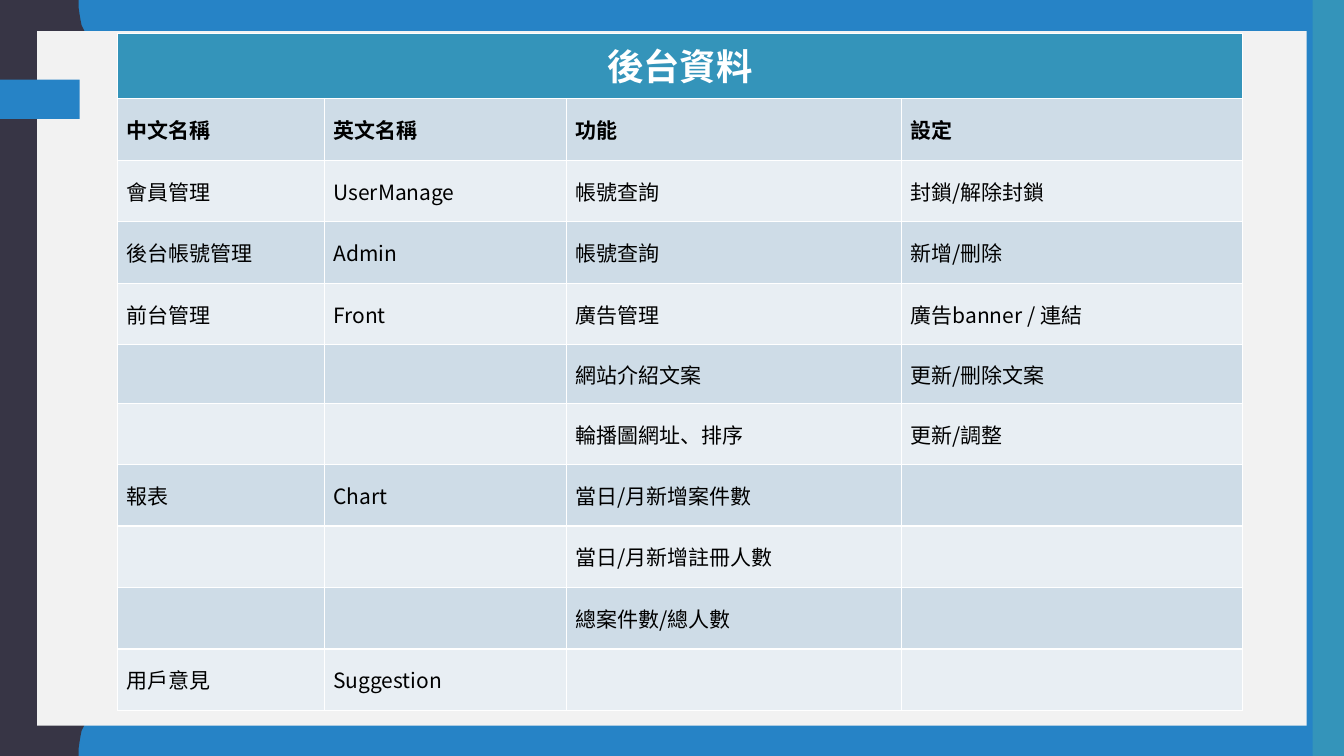
from lxml import etree
from pptx import Presentation
from pptx import util as u
from pptx.dml.color import RGBColor
from pptx.enum import shapes, text
from pptx.oxml import ns

BLUE = RGBColor(0x26, 0x83, 0xC6)
TEAL = RGBColor(0x34, 0x94, 0xBA)
DARK = RGBColor(0x37, 0x35, 0x45)
PANEL = RGBColor(0xF2, 0xF2, 0xF2)
BAND_DARK = RGBColor(0xCE, 0xDC, 0xE7)
BAND_LIGHT = RGBColor(0xE8, 0xEE, 0xF3)
WHITE = RGBColor(0xFF, 0xFF, 0xFF)
BLACK = RGBColor(0, 0, 0)

WIDTH, HEIGHT = 13.34, 7.5
TITLE = "後台資料"
COLUMN_WIDTHS = [2.05, 2.4, 3.33, 3.38]
ROW_HEIGHTS = [0.65] + [0.61] * 4 + [0.58] + [0.61] * 5
BACKEND_ROWS = [
    ["中文名稱", "英文名稱", "功能", "設定"],
    ["會員管理", "UserManage", "帳號查詢", "封鎖/解除封鎖"],
    ["後台帳號管理", "Admin", "帳號查詢", "新增/刪除"],
    ["前台管理", "Front", "廣告管理", "廣告banner / 連結"],
    ["", "", "網站介紹文案", "更新/刪除文案"],
    ["", "", "輪播圖網址、排序", "更新/調整"],
    ["報表", "Chart", "當日/月新增案件數", ""],
    ["", "", "當日/月新增註冊人數", ""],
    ["", "", "總案件數/總人數", ""],
    ["用戶意見", "Suggestion", "", ""],
]

# Half a wave of the left edge as (x, y); the other half mirrors it
HALF_WAVE = [(0.78, 0), (0.78, 0.07), (0.79, 0.14), (0.8, 0.2), (0.81, 0.25),
             (0.83, 0.29), (0.85, 0.33), (0.87, 0.38), (0.89, 0.42), (0.91, 0.46),
             (0.93, 0.5), (0.95, 0.55), (0.96, 0.61), (0.97, 0.68), (0.97, 0.75)]
WAVE_PERIOD = 1.5
WAVE_COUNT = 5


class SlideBuilder:
    font = "Noto Sans CJK SC"

    def __init__(self, slide):
        self.slide = slide

    def background(self, color):
        self.slide.background.fill.solid()
        self.slide.background.fill.fore_color.rgb = color

    def paint(self, shape, color):
        shape.shadow.inherit = False
        shape.fill.solid()
        shape.fill.fore_color.rgb = color
        shape.line.fill.background()

    def rectangle(self, left, top, width, height, color):
        box = self.slide.shapes.add_shape(
            shapes.MSO_SHAPE.RECTANGLE, u.Inches(left), u.Inches(top),
            u.Inches(width), u.Inches(height))
        self.paint(box, color)

    def outline(self, points, color):
        corners = [(u.Inches(x), u.Inches(y)) for x, y in points]
        builder = self.slide.shapes.build_freeform(*corners[0])
        builder.add_line_segments(corners[1:], close=True)
        self.paint(builder.convert_to_shape(), color)

    def table(self, left, top, widths, heights):
        grid = self.slide.shapes.add_table(
            len(heights), len(widths), u.Inches(left), u.Inches(top),
            u.Inches(sum(widths)), u.Inches(sum(heights))).table
        grid.first_row = grid.horz_banding = False
        for column, width in zip(grid.columns, widths):
            column.width = u.Inches(width)
        for row, height in zip(grid.rows, heights):
            row.height = u.Inches(height)
        return grid

    def cell(self, cell, wording, fill, size=15, color=BLACK, bold=False,
             align=text.PP_ALIGN.LEFT, anchor=text.MSO_ANCHOR.MIDDLE):
        cell.fill.solid()
        cell.fill.fore_color.rgb = fill
        cell.margin_left = cell.margin_right = u.Inches(0.09)
        cell.margin_top = cell.margin_bottom = u.Inches(0.05)
        cell.vertical_anchor = anchor
        self.borders(cell)
        if wording:
            paragraph = cell.text_frame.paragraphs[0]
            paragraph.alignment = align
            run = paragraph.add_run()
            run.text = wording
            run.font.name = self.font
            run.font.size = u.Pt(size)
            run.font.bold = bold
            run.font.color.rgb = color
            # East Asian typeface
            east_asian = etree.SubElement(run.font._element, ns.qn("a:ea"))
            east_asian.set("typeface", self.font)

    def borders(self, cell):
        properties = cell._tc.get_or_add_tcPr()
        for index, side in enumerate(["lnL", "lnR", "lnT", "lnB"]):
            border = etree.Element(ns.qn("a:" + side), w=str(u.Pt(1)))
            solid = etree.SubElement(border, ns.qn("a:solidFill"))
            etree.SubElement(solid, ns.qn("a:srgbClr"), val=str(WHITE))
            properties.insert(index, border)


def wavy_edge():
    falling = [(x, WAVE_PERIOD - y) for x, y in reversed(HALF_WAVE[:-1])]
    wave = HALF_WAVE + falling[:-1]
    edge = [(x, y + n * WAVE_PERIOD) for n in range(WAVE_COUNT) for x, y in wave]
    return [(0, 0)] + edge + [(HALF_WAVE[0][0], HEIGHT), (0, HEIGHT)]


def main():
    deck = Presentation()
    deck.slide_width, deck.slide_height = u.Inches(WIDTH), u.Inches(HEIGHT)
    page = SlideBuilder(deck.slides.add_slide(deck.slide_layouts[6]))

    # Backdrop: wavy left band, right band, panel and tab
    page.background(BLUE)
    page.outline(wavy_edge(), DARK)
    page.rectangle(13.03, 0, 0.31, HEIGHT, TEAL)
    page.rectangle(0.37, 0.31, 12.6, 6.89, PANEL)
    page.rectangle(0, 0.79, 0.79, 0.39, BLUE)

    # Title row across the whole table
    backend = page.table(1.17, 0.33, COLUMN_WIDTHS, ROW_HEIGHTS)
    backend.cell(0, 0).merge(backend.cell(0, len(COLUMN_WIDTHS) - 1))
    page.cell(backend.cell(0, 0), TITLE, TEAL, size=26, color=WHITE, bold=True,
              align=text.PP_ALIGN.CENTER, anchor=text.MSO_ANCHOR.TOP)

    # Column headings and banded rows
    for r, entries in enumerate(BACKEND_ROWS, start=1):
        band = BAND_DARK if r % 2 else BAND_LIGHT
        for c, entry in enumerate(entries):
            page.cell(backend.cell(r, c), entry, band, bold=r == 1)

    deck.save("out.pptx")


if __name__ == "__main__":
    main()
